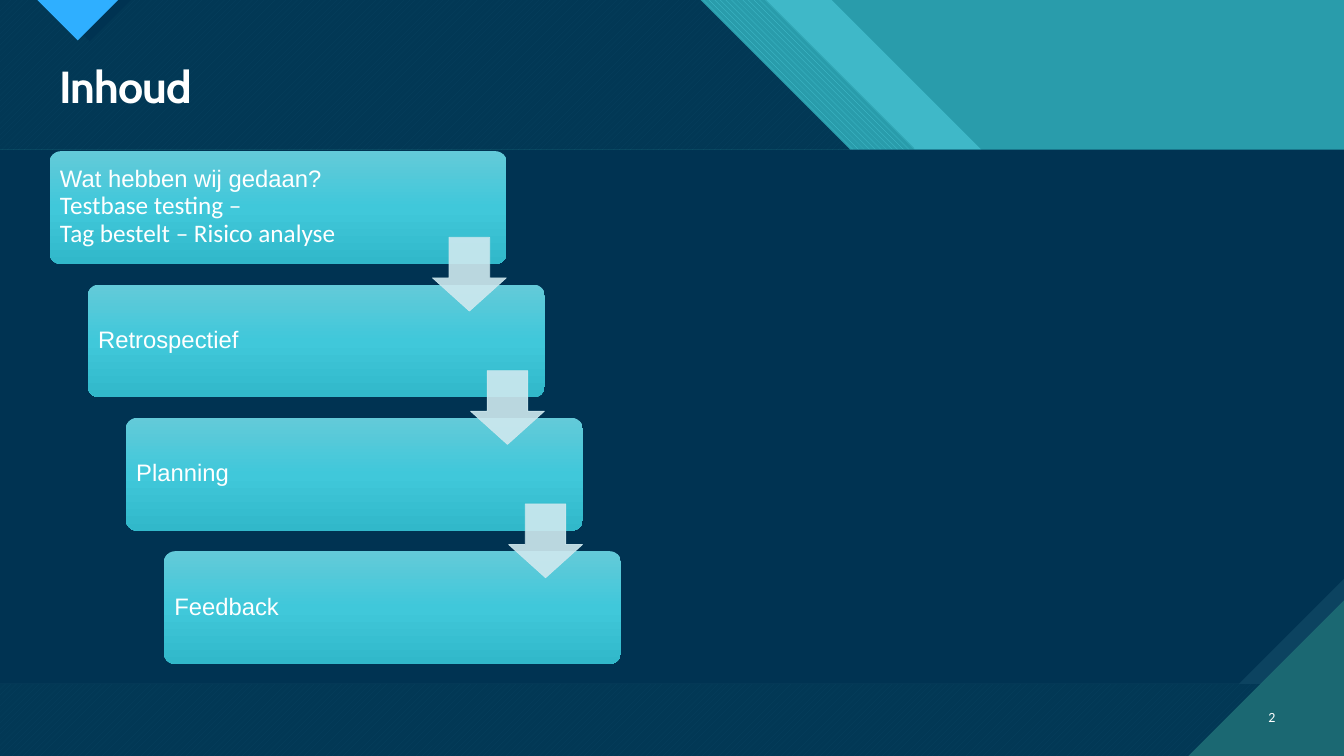
from dataclasses import dataclass

from lxml.etree import SubElement
from pptx import Presentation
from pptx.dml.color import RGBColor
from pptx.enum.dml import MSO_PATTERN
from pptx.enum.shapes import MSO_SHAPE
from pptx.enum.text import MSO_ANCHOR, PP_ALIGN
from pptx.oxml.ns import qn
from pptx.util import Cm, Pt

WIDTH, HEIGHT = 33.87, 19.05
HEADER_H, PANEL_BOTTOM = 3.77, 17.23
STEP_X, STEP_Y = 0.96, 3.36
NAVY, TEAL, AQUA = "003352", "299CAB", "47C3D3"
DEEP_TEAL, WHITE, PALE = "1B6872", "FFFFFF", "CFE9EF"
GRADIENT = ((0, "63CAD9"), (50, "40C8DA"), (100, "31B8CA"))


@dataclass
class Fill:
    color: str
    alpha: int = 100
    pattern: MSO_PATTERN | None = None
    back: str = WHITE


@dataclass
class Polygon:
    points: list[tuple[float, float]]
    fill: Fill


def rgb(color: str) -> RGBColor:
    return RGBColor.from_string(color)


def paint(sp, fill: Fill) -> None:
    sp.shadow.inherit = False
    sp.line.fill.background()
    if fill.pattern:
        sp.fill.patterned()
        sp.fill.pattern = fill.pattern
        sp.fill.fore_color.rgb = rgb(fill.color)
        sp.fill.back_color.rgb = rgb(fill.back)
    else:
        sp.fill.solid()
        sp.fill.fore_color.rgb = rgb(fill.color)
    if fill.alpha < 100:
        make_transparent(sp, fill.alpha)


def make_transparent(sp, alpha: int) -> None:
    """Apply an opacity percentage to every colour of the shape's fill and line."""
    for clr in list(sp._element.spPr.iter(qn("a:srgbClr"))):
        SubElement(clr, qn("a:alpha"), val=str(alpha * 1000))


def paint_gradient(sp) -> None:
    sp.shadow.inherit = False
    sp.line.fill.background()
    sp.fill.gradient()
    sp.fill.gradient_angle = 270
    stops = sp._element.spPr.find(".//" + qn("a:gsLst"))
    for gs in list(stops):
        stops.remove(gs)
    for pos, color in GRADIENT:
        gs = SubElement(stops, qn("a:gs"), pos=str(pos * 1000))
        SubElement(gs, qn("a:srgbClr"), val=color)


def add_polygon(shapes, polygon: Polygon) -> None:
    start, *rest = [(Cm(x), Cm(y)) for x, y in polygon.points]
    builder = shapes.build_freeform(*start)
    builder.add_line_segments(rest, close=True)
    paint(builder.convert_to_shape(), polygon.fill)


def write(sp, text: str, font: dict, frame: dict, para: dict):
    """Put one formatted paragraph in the shape and return its font."""
    tf = sp.text_frame
    p = tf.paragraphs[0]
    p.text = text
    f = p.runs[0].font
    for target, values in ((tf, frame), (p, para), (f, font)):
        for name, value in values.items():
            setattr(target, name, value)
    f.color.rgb = rgb(WHITE)
    return f


def rect(top: float, bottom: float) -> list[tuple[float, float]]:
    return [(0, top), (WIDTH, top), (WIDTH, bottom), (0, bottom)]


def header(x: float) -> list[tuple[float, float]]:
    """Header band from the left edge to a 45 degree slant starting at x."""
    return [(0, 0), (x, 0), (x + HEADER_H, HEADER_H), (0, HEADER_H)]


def pointer(left: float, depth: float) -> list[tuple[float, float]]:
    return [(left, 0), (left + 2 * depth, 0), (left + depth, depth)]


HATCH = Fill(AQUA, pattern=MSO_PATTERN.WIDE_UPWARD_DIAGONAL, back=DEEP_TEAL)
VEIL = Fill(NAVY, alpha=90)
SNIP, CORNER = 2.65, 3.92
FOOTER = rect(PANEL_BOTTOM, HEIGHT)
BACKDROP = [
    Polygon(header(20.96), Fill(AQUA, alpha=74)),
    Polygon(header(19.3), Fill(AQUA, pattern=MSO_PATTERN.WIDE_DOWNWARD_DIAGONAL, back=TEAL)),
    *(Polygon(area, fill) for area in (header(17.65), FOOTER) for fill in (HATCH, VEIL)),
    Polygon(pointer(1.22, 1.04), Fill(NAVY)),
    Polygon(pointer(0.94, 1.02), Fill("2FAFFF")),
    Polygon(rect(HEADER_H, PANEL_BOTTOM), Fill("0C4360")),
    Polygon([(0, HEADER_H), (WIDTH, HEADER_H), (WIDTH, PANEL_BOTTOM - SNIP),
             (WIDTH - SNIP, PANEL_BOTTOM), (0, PANEL_BOTTOM)], Fill(NAVY)),
    Polygon([(WIDTH - CORNER, HEIGHT), (WIDTH, HEIGHT), (WIDTH, HEIGHT - CORNER)],
            Fill(DEEP_TEAL)),
]
STEPS = ["Wat hebben wij gedaan?\vTestbase testing –\vTag bestelt – Risico analyse",
         "Retrospectief", "Planning", "Feedback"]


def add_step(shapes, index: int, text: str) -> None:
    sp = shapes.add_shape(MSO_SHAPE.ROUNDED_RECTANGLE, Cm(1.25 + index * STEP_X),
                          Cm(3.81 + index * STEP_Y), Cm(11.52), Cm(2.84))
    sp.adjustments[0] = 0.1
    paint_gradient(sp)
    margins = {f"margin_{side}": Cm(0.18) for side in ("left", "right", "top", "bottom")}
    write(sp, text, {"name": "Arial", "size": Pt(17)},
          {"word_wrap": True, "vertical_anchor": MSO_ANCHOR.MIDDLE, **margins},
          {"alignment": PP_ALIGN.LEFT, "line_spacing": 0.9})


def add_arrow(shapes, index: int) -> None:
    sp = shapes.add_shape(MSO_SHAPE.DOWN_ARROW, Cm(10.9 + index * STEP_X),
                          Cm(5.98 + index * STEP_Y), Cm(1.86), Cm(1.86))
    sp.adjustments[0], sp.adjustments[1] = 0.55, 0.45
    paint(sp, Fill(PALE))
    sp.line.color.rgb = rgb(PALE)
    sp.line.width = Pt(0.5)
    make_transparent(sp, 90)


def main() -> None:
    prs = Presentation()
    prs.slide_width, prs.slide_height = Cm(WIDTH), Cm(HEIGHT)
    s = prs.slides.add_slide(prs.slide_layouts[5])
    s.background.fill.solid()
    s.background.fill.fore_color.rgb = rgb(TEAL)
    for polygon in BACKDROP:
        add_polygon(s.shapes, polygon)

    title = s.shapes.title
    s.shapes._spTree.append(title._element)
    title.left, title.top, title.width, title.height = Cm(1.25), Cm(1.5), Cm(31.14), Cm(1.5)
    f = write(title, "Inhoud", {"name": "Cabin", "size": Pt(32), "bold": True},
              {"word_wrap": True, "vertical_anchor": MSO_ANCHOR.MIDDLE},
              {"alignment": PP_ALIGN.LEFT, "line_spacing": 0.9})
    f._element.set("spc", "-70")

    number = s.shapes.add_textbox(Cm(31.27), Cm(17.55), Cm(1.12), Cm(1.02))
    write(number, "2", {"name": "Calibri", "size": Pt(10)},
          {"word_wrap": True, "vertical_anchor": MSO_ANCHOR.MIDDLE},
          {"alignment": PP_ALIGN.RIGHT})

    for i, text in enumerate(STEPS):
        add_step(s.shapes, i, text)
    for i in range(len(STEPS) - 1):
        add_arrow(s.shapes, i)
    prs.save("out.pptx")


if __name__ == "__main__":
    main()
